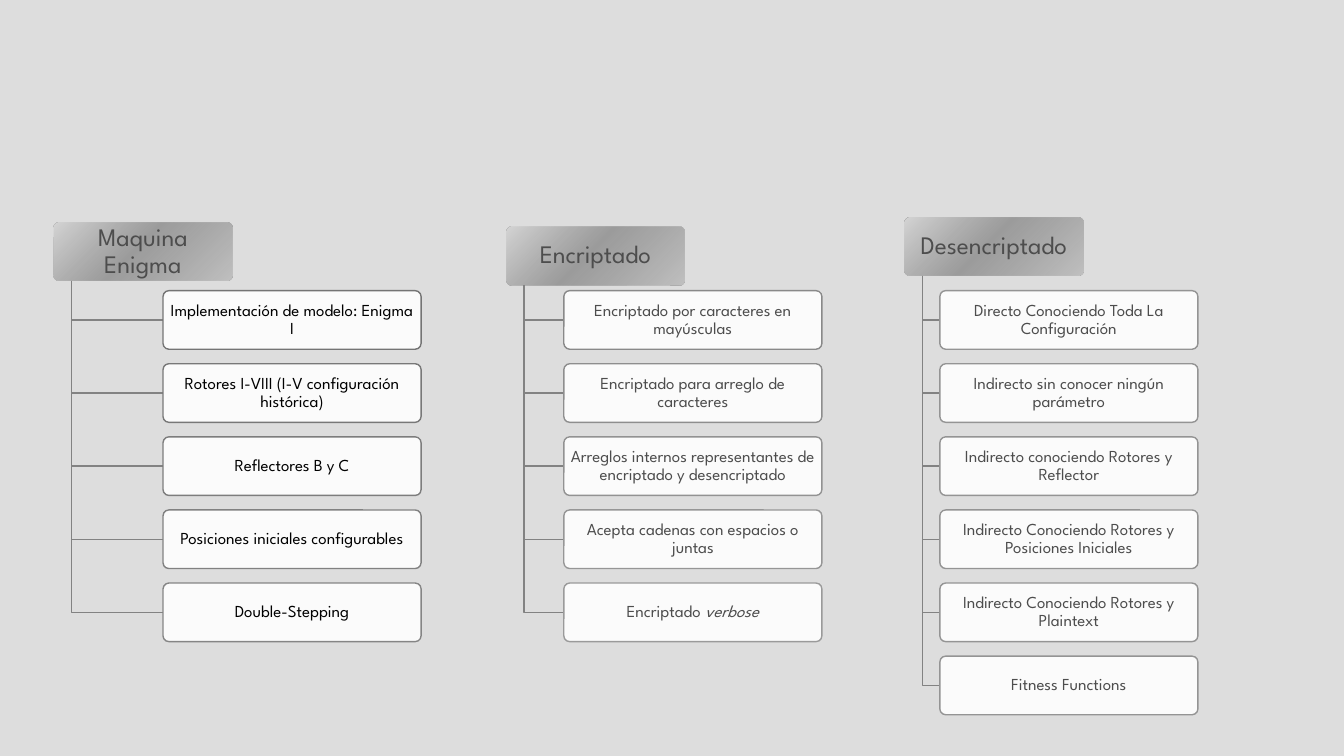
import pptx
import pptx.util
import pptx.dml.color
import pptx.enum.shapes
import pptx.enum.text
import pptx.oxml
import pptx.oxml.ns

FONT = "League Spartan"
PAPER, GREY, WIRE, BLACK, WHITE = "DDDDDD", "4D4D4D", "828282", "000000", "FFFFFF"
GLOSS = [(0, "C1C1C1", 100), (54, "909090", 84), (100, "D5D5D5", 100)]

# Shares of the slide's size, in percent
HEAD_W, ITEM_W, BOX_H = 13.3, 19.2, 7.75
ROW_TOP, ROW_STEP = 38.45, 9.67

# Insets in points: sides, then top and bottom
HEAD_PAD, ITEM_PAD = (3, 2), (2, 1.5)

FADE = [f"{round(116 + 4.26 * step):02X}" * 3 for step in range(10)]

# Header text, header left and top, item left, text colour, outlines, items
TREES = [
    ("Maquina Enigma", 3.98, 29.4, 12.13, BLACK, FADE[:5], [
        "Implementación de modelo: Enigma I",
        "Rotores I-VIII (I-V configuración histórica)",
        "Reflectores B y C",
        "Posiciones iniciales configurables",
        "Double-Stepping",
    ]),
    ("Encriptado", 37.66, 29.95, 41.95, GREY, FADE[5:], [
        "Encriptado por caracteres en mayúsculas",
        "Encriptado para arreglo de caracteres",
        "Arreglos internos representantes de encriptado y desencriptado",
        "Acepta cadenas con espacios o juntas",
        "Encriptado *verbose*",
    ]),
    ("Desencriptado", 67.3, 28.75, 69.93, GREY, ["949494"] * 6, [
        "Directo Conociendo Toda La Configuración",
        "Indirecto sin conocer ningún parámetro",
        "Indirecto conociendo Rotores y Reflector",
        "Indirecto Conociendo Rotores y Posiciones Iniciales",
        "Indirecto Conociendo Rotores y Plaintext",
        "Fitness Functions",
    ]),
]


def hue(code):
    return pptx.dml.color.RGBColor.from_string(code)


def apply(target, values):
    for key, value in values.items():
        setattr(target, key, value)


class Sketch:
    def __init__(self, deck):
        self.deck = deck
        self.slide = deck.slides.add_slide(deck.slide_layouts[6])
        fill = self.slide.background.fill
        fill.solid()
        fill.fore_color.rgb = hue(PAPER)

    def spot(self, left, top):
        """Turn shares of the slide, in percent, into lengths."""
        return (round(self.deck.slide_width * left / 100),
                round(self.deck.slide_height * top / 100))

    def box(self, left, top, width):
        shape = self.slide.shapes.add_shape(
            pptx.enum.shapes.MSO_SHAPE.ROUNDED_RECTANGLE,
            *self.spot(left, top), *self.spot(width, BOX_H))
        shape.adjustments[0] = 0.1
        shape.shadow.inherit = False
        return shape

    def label(self, shape, text, size, code, pad):
        """Centre text in a shape; words between asterisks are italic."""
        side, edge = (pptx.util.Pt(points) for points in pad)
        frame = shape.text_frame
        apply(frame, {
            "word_wrap": True,
            "vertical_anchor": pptx.enum.text.MSO_ANCHOR.MIDDLE,
            "margin_left": side, "margin_right": side,
            "margin_top": edge, "margin_bottom": edge,
        })
        line = frame.paragraphs[0]
        apply(line, {"alignment": pptx.enum.text.PP_ALIGN.CENTER,
                     "line_spacing": 0.9})
        for place, part in enumerate(text.split("*")):
            if part:
                run = line.add_run()
                run.text = part
                apply(run.font, {"name": FONT, "size": pptx.util.Pt(size),
                                 "italic": place % 2 == 1})
                run.font.color.rgb = hue(code)

    def head(self, text, left, top):
        shape = self.box(left, top, HEAD_W)
        shape.line.fill.background()
        stops = "".join(
            f'<a:gs pos="{at * 1000}"><a:srgbClr val="{code}">'
            f'<a:alpha val="{alpha * 1000}"/></a:srgbClr></a:gs>'
            for at, code, alpha in GLOSS)
        shade = pptx.oxml.parse_xml(
            f'<a:gradFill {pptx.oxml.ns.nsdecls("a")} rotWithShape="1">'
            f'<a:gsLst>{stops}</a:gsLst><a:path path="circle">'
            '<a:fillToRect l="100000" t="100000"/></a:path></a:gradFill>')
        shape._element.spPr.find(pptx.oxml.ns.qn("a:prstGeom")).addnext(shade)
        self.label(shape, text, 18, GREY, HEAD_PAD)

    def item(self, text, left, top, code, edge):
        shape = self.box(left, top, ITEM_W)
        shape.fill.solid()
        shape.fill.fore_color.rgb = hue(WHITE)
        tint = shape._element.spPr.find(".//" + pptx.oxml.ns.qn("a:srgbClr"))
        tint.append(pptx.oxml.parse_xml(
            f'<a:alpha {pptx.oxml.ns.nsdecls("a")} val="90000"/>'))
        self.stroke(shape, edge)
        self.label(shape, text, 12, code, ITEM_PAD)

    def branch(self, left, top, right, base):
        """Draw a line down from a header, then right to an item."""
        pen = self.slide.shapes.build_freeform(*self.spot(left, top))
        pen.add_line_segments([self.spot(left, base), self.spot(right, base)],
                              close=False)
        shape = pen.convert_to_shape()
        shape.shadow.inherit = False
        shape.fill.background()
        self.stroke(shape, WIRE)

    def stroke(self, shape, code):
        shape.line.color.rgb = hue(code)
        shape.line.width = pptx.util.Pt(1)

    def tree(self, title, left, top, inner, code, edges, items):
        self.head(title, left, top)
        for row, (text, edge) in enumerate(zip(items, edges)):
            level = ROW_TOP + row * ROW_STEP
            self.branch(left + HEAD_W / 10, top + BOX_H,
                        inner, level + BOX_H / 2)
            self.item(text, inner, level, code, edge)


def main():
    deck = pptx.Presentation()
    apply(deck, {"slide_width": pptx.util.Inches(13.33),
                 "slide_height": pptx.util.Inches(7.5)})
    sketch = Sketch(deck)
    for tree in TREES:
        sketch.tree(*tree)
    deck.save("out.pptx")


if __name__ == "__main__":
    main()
